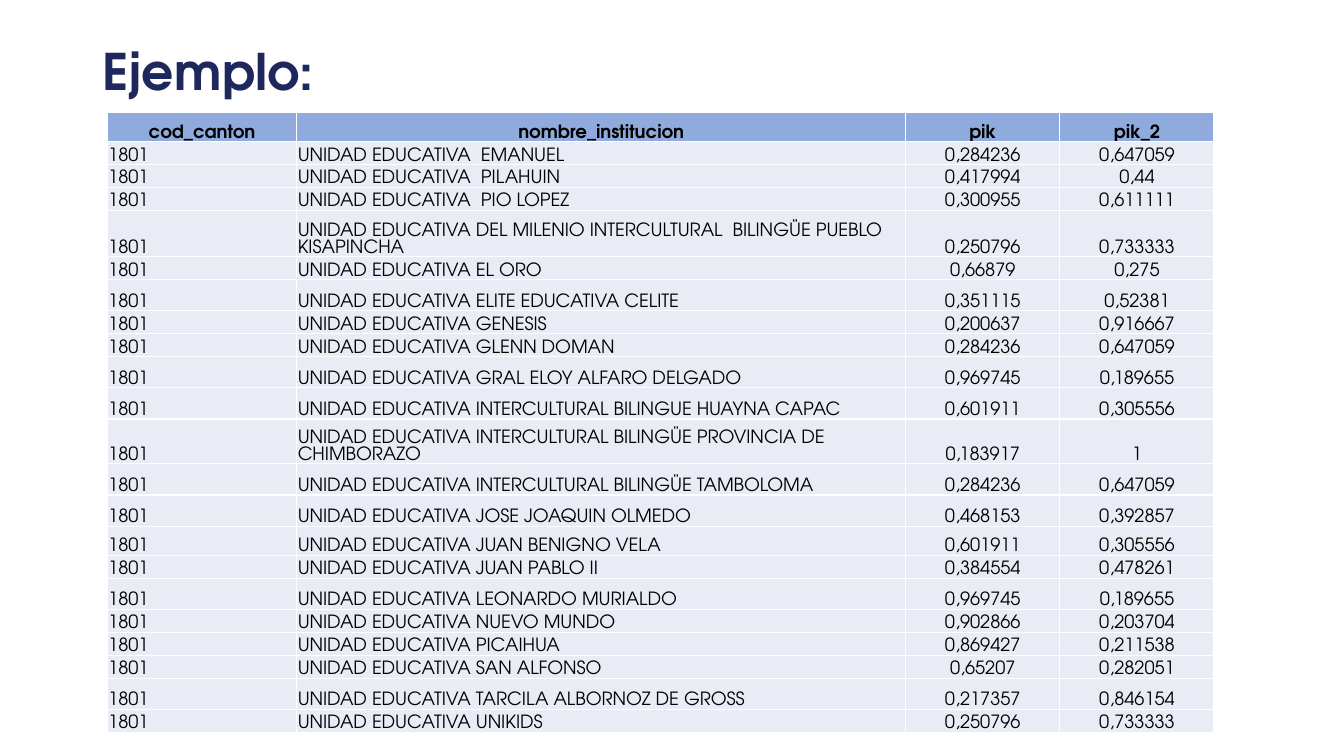
from lxml.etree import SubElement
from pptx import Presentation
from pptx.dml.color import RGBColor
from pptx.enum.text import MSO_ANCHOR, PP_ALIGN
from pptx.oxml import parse_xml
from pptx.oxml.ns import nsdecls, qn
from pptx.util import Inches, Pt


def rgb(value):
    """Turn a hex string into a colour."""
    return RGBColor.from_string(value)


class Deck:
    """Hold the style and the current slide, measured on a 100 by 100 grid."""

    FONT = "TeX Gyre Adventor"
    NAVY, BLACK, WHITE = "1F285D", "000000", "FFFFFF"
    HEADER, BODY = "8FAADC", "E9EBF5"
    CELL_SIZE = 13

    def __init__(self):
        """Open a presentation with one blank slide."""
        self.prs = Presentation()
        self.prs.slide_width, self.prs.slide_height = Inches(13.33), Inches(7.5)
        self.slide = self.prs.slides.add_slide(self.prs.slide_layouts[6])

    def cols(self, n):
        """Convert grid columns to a length."""
        return round(self.prs.slide_width * n / 100)

    def rows(self, n):
        """Convert grid rows to a length."""
        return round(self.prs.slide_height * n / 100)

    def style(self, p, size, color, bold):
        """Format every run of a paragraph."""
        for r in p.runs:
            r.font.name, r.font.size, r.font.bold = self.FONT, Pt(size), bold
            r.font.color.rgb = rgb(color)

    def title(self, text, x, y, w, h):
        """Add the slide title."""
        sp = self.slide.shapes.add_textbox(
            self.cols(x), self.rows(y), self.cols(w), self.rows(h))
        tf = sp.text_frame
        tf.word_wrap = True
        tf.vertical_anchor = MSO_ANCHOR.MIDDLE
        tf.text = text
        p = tf.paragraphs[0]
        p.line_spacing = 0.9
        self.style(p, 36, self.NAVY, True)

    def borders(self, cell):
        """Draw thin white lines on the four sides of a cell."""
        tc_pr = cell._tc.get_or_add_tcPr()
        for i, side in enumerate("LRTB"):
            ln = parse_xml(f'<a:ln{side} {nsdecls("a")} w="{Pt(1)}"/>')
            fill = SubElement(ln, qn("a:solidFill"))
            SubElement(fill, qn("a:srgbClr"), val=self.WHITE)
            tc_pr.insert(i, ln)

    def cell(self, cell, text, header, centered):
        """Fill and format one table cell."""
        cell.fill.solid()
        cell.fill.fore_color.rgb = rgb(self.HEADER if header else self.BODY)
        cell.margin_left = cell.margin_right = cell.margin_top = Inches(0.01)
        cell.margin_bottom = 0
        cell.vertical_anchor = MSO_ANCHOR.BOTTOM
        cell.text_frame.text = text
        p = cell.text_frame.paragraphs[0]
        p.alignment = PP_ALIGN.CENTER if header or centered else PP_ALIGN.LEFT
        self.style(p, self.CELL_SIZE, self.BLACK, header)
        self.borders(cell)

    def table(self, records, x, y, widths, heights, centered):
        """Add a table whose first record is the header."""
        table = self.slide.shapes.add_table(
            len(records), len(widths), self.cols(x), self.rows(y),
            self.cols(sum(widths)), self.rows(sum(heights))).table
        table.horz_banding = False
        for column, width in zip(table.columns, widths):
            column.width = self.cols(width)
        for i, (record, height) in enumerate(zip(records, heights)):
            table.rows[i].height = self.rows(height)
            for j, text in enumerate(record):
                self.cell(table.cell(i, j), text, i == 0, j in centered)


HEADINGS = ("cod_canton", "nombre_institucion", "pik", "pik_2")
CANTON = "1801"
LOW, HIGH = 2.8, 4.13
SCHOOLS = [
    (" EMANUEL", "0,284236", "0,647059", LOW),
    (" PILAHUIN", "0,417994", "0,44", LOW),
    (" PIO LOPEZ", "0,300955", "0,611111", LOW),
    ("DEL MILENIO INTERCULTURAL  BILINGÜE PUEBLO KISAPINCHA", "0,250796", "0,733333", 6.13),
    ("EL ORO", "0,66879", "0,275", LOW),
    ("ELITE EDUCATIVA CELITE", "0,351115", "0,52381", HIGH),
    ("GENESIS", "0,200637", "0,916667", LOW),
    ("GLENN DOMAN", "0,284236", "0,647059", LOW),
    ("GRAL ELOY ALFARO DELGADO", "0,969745", "0,189655", HIGH),
    ("INTERCULTURAL BILINGUE HUAYNA CAPAC", "0,601911", "0,305556", HIGH),
    ("INTERCULTURAL BILINGÜE PROVINCIA DE CHIMBORAZO", "0,183917", "1", 5.87),
    ("INTERCULTURAL BILINGÜE TAMBOLOMA", "0,284236", "0,647059", HIGH),
    ("JOSE JOAQUIN OLMEDO", "0,468153", "0,392857", HIGH),
    ("JUAN BENIGNO VELA", "0,601911", "0,305556", 3.87),
    ("JUAN PABLO II", "0,384554", "0,478261", LOW),
    ("LEONARDO MURIALDO", "0,969745", "0,189655", HIGH),
    ("NUEVO MUNDO", "0,902866", "0,203704", LOW),
    ("PICAIHUA", "0,869427", "0,211538", LOW),
    ("SAN ALFONSO", "0,65207", "0,282051", LOW),
    ("TARCILA ALBORNOZ DE GROSS", "0,217357", "0,846154", HIGH),
    ("UNIKIDS", "0,250796", "0,733333", LOW),
]


def main():
    """Build and save the slide."""
    deck = Deck()
    deck.title("Ejemplo:", 6.9, 4.93, 63.47, 9.87)
    records = [HEADINGS] + [
        (CANTON, f"UNIDAD EDUCATIVA {name}", pik, pik_2)
        for name, pik, pik_2, _ in SCHOOLS]
    heights = [3.87] + [school[-1] for school in SCHOOLS]
    deck.table(records, 7.98, 14.87, (14.1, 45.3, 11.48, 11.48), heights, (2, 3))
    deck.prs.save("out.pptx")


if __name__ == "__main__":
    main()
